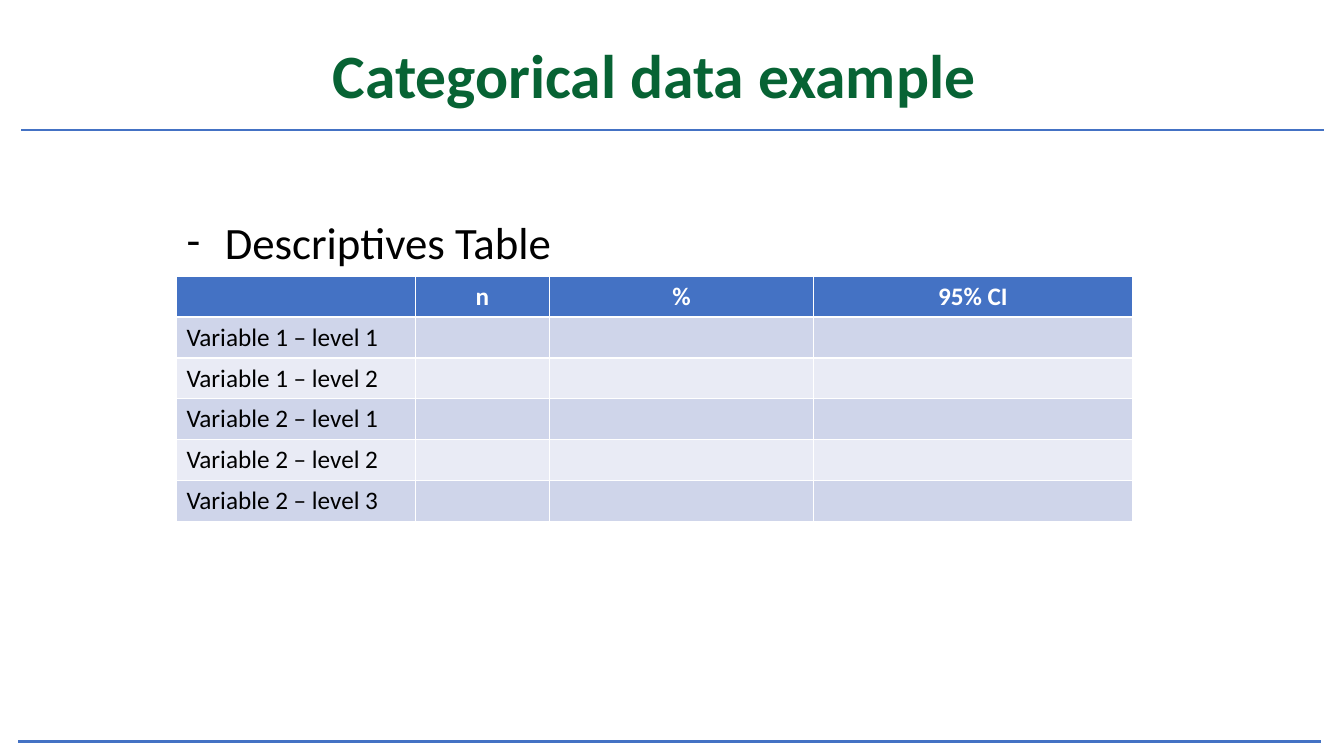
from lxml import etree
from pptx import Presentation
from pptx.dml.color import RGBColor
from pptx.enum.shapes import MSO_CONNECTOR
from pptx.enum.text import MSO_ANCHOR, MSO_AUTO_SIZE, PP_ALIGN
from pptx.oxml.ns import qn
from pptx.util import Inches, Pt

STRAIGHT = MSO_CONNECTOR.STRAIGHT
MIDDLE, TOP = MSO_ANCHOR.MIDDLE, MSO_ANCHOR.TOP
NO_FIT = MSO_AUTO_SIZE.NONE
CENTER, LEFT = PP_ALIGN.CENTER, PP_ALIGN.LEFT

COLORS = {
    "title": "076334",
    "accent": "4472C4",
    "text": "000000",
    "header_text": "FFFFFF",
    "odd_row": "CFD5EA",
    "even_row": "E9EBF5",
}
FONT = "Calibri"
TABLE_LEFT, TABLE_TOP, ROW_HEIGHT = 1.75, 2.74, 0.405
COLUMN_WIDTHS = [2.37, 1.33, 2.62, 3.16]
HEADERS = ["", "n", "%", "95% CI"]
LEVELS_PER_VARIABLE = [2, 3]


def place(item, left, top, width, height):
    item.left, item.top = Inches(left), Inches(top)
    item.width, item.height = Inches(width), Inches(height)


def format_text(paragraph, size, color, bold=False, align=LEFT):
    paragraph.alignment = align
    for run in paragraph.runs:
        run.font.name = FONT
        run.font.size = Pt(size)
        run.font.bold = bold
        run.font.color.rgb = RGBColor.from_string(COLORS[color])


prs = Presentation()
prs.slide_width, prs.slide_height = Inches(13.33), Inches(7.5)
slide = prs.slides.add_slide(prs.slide_layouts[1])

# Rules under the title and at the foot
for rule_left, rule_top in [(0.18, 7.36), (0.21, 1.29)]:
    rule = slide.shapes.add_connector(
        STRAIGHT, Inches(rule_left), Inches(rule_top),
        Inches(rule_left + 12.92), Inches(rule_top))
    rule.line.color.rgb = RGBColor.from_string(COLORS["accent"])
    rule.line.width = Pt(2)
    etree.SubElement(rule._element.spPr, qn("a:effectLst"))

# Title
title = slide.shapes.title
place(title, 1.42, 0.36, 10.14, 0.83)
title.text_frame.text = "Categorical data example"
title.text_frame.auto_size = NO_FIT
title.text_frame.vertical_anchor = MIDDLE
heading = title.text_frame.paragraphs[0]
heading.line_spacing = 0.9
format_text(heading, 44, "title", bold=True, align=CENTER)

# Dashed list item
body = slide.placeholders[1]
place(body, 1.75, 2.08, 7.56, 0.64)
body.text_frame.text = "Descriptives Table"
body.text_frame.auto_size = NO_FIT
body.text_frame.vertical_anchor = TOP
item = body.text_frame.paragraphs[0]
item.space_before = Pt(0)
format_text(item, 32, "text")
item_props = item._p.get_or_add_pPr()
item_props.set("marL", str(Inches(0.38)))
item_props.set("indent", str(-Inches(0.38)))
etree.SubElement(item_props, qn("a:buFont"), typeface=FONT)
etree.SubElement(item_props, qn("a:buChar"), char="-")

# Descriptives table: one row per level of each variable
rows = [HEADERS] + [
    [f"Variable {variable} – level {level}", "", "", ""]
    for variable, levels in enumerate(LEVELS_PER_VARIABLE, 1)
    for level in range(1, levels + 1)
]
table = slide.shapes.add_table(
    len(rows), len(HEADERS), Inches(TABLE_LEFT), Inches(TABLE_TOP),
    Inches(sum(COLUMN_WIDTHS)), Inches(ROW_HEIGHT * len(rows))).table
for column, width in zip(table.columns, COLUMN_WIDTHS):
    column.width = Inches(width)
for r, row in enumerate(rows):
    is_header = r == 0
    fill = "accent" if is_header else "odd_row" if r % 2 else "even_row"
    for c, text in enumerate(row):
        cell = table.cell(r, c)
        cell.fill.solid()
        cell.fill.fore_color.rgb = RGBColor.from_string(COLORS[fill])
        cell.text_frame.text = text
        format_text(cell.text_frame.paragraphs[0], 18,
                    "header_text" if is_header else "text",
                    bold=is_header, align=CENTER if is_header else LEFT)

prs.save("out.pptx")
